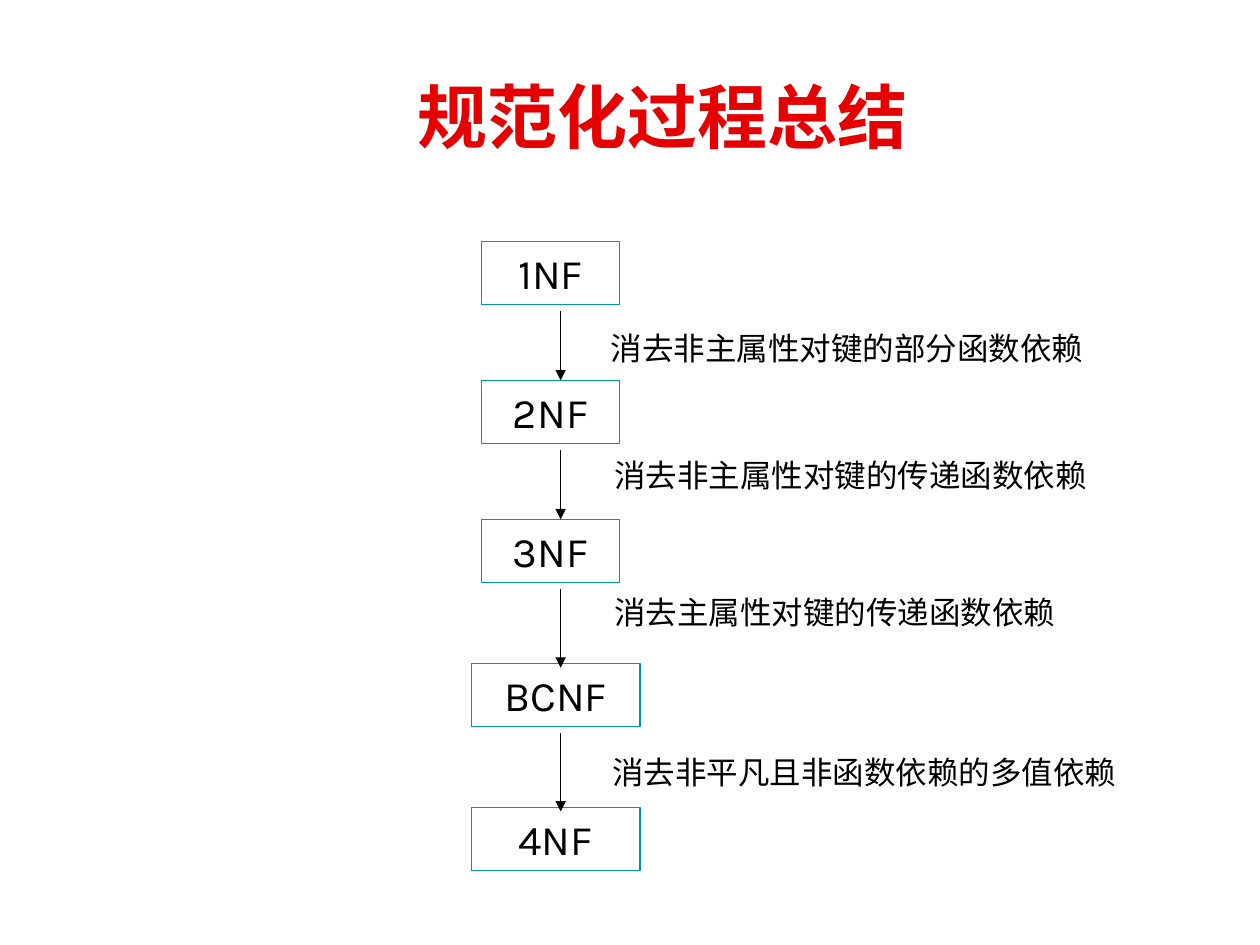
from lxml import etree
from pptx import Presentation
from pptx.dml.color import RGBColor
from pptx.enum import shapes, text
from pptx.oxml import ns
from pptx.util import Pt


def color(hex_value):
    return RGBColor.from_string(hex_value)


def write_text(shape, content, size=18, font="Karla", fill="000000", bold=False,
               align=text.PP_ALIGN.LEFT, anchor=text.MSO_ANCHOR.TOP, wrap=True):
    frame = shape.text_frame
    frame.word_wrap = wrap
    frame.vertical_anchor = anchor
    paragraph = frame.paragraphs[0]
    paragraph.alignment = align
    run = paragraph.add_run()
    run.text = content
    run.font.size = Pt(size)
    run.font.name = font
    run.font.bold = bold
    run.font.color.rgb = color(fill)


class SlideBuilder:
    border = "009999"
    arrow_color = "000000"
    title_color = "E40000"
    line_width = 0.75

    def __init__(self, slide):
        self.slide = slide

    def add_title(self, content, left, top, width, height):
        shape = self.slide.shapes.add_textbox(Pt(left), Pt(top), Pt(width), Pt(height))
        write_text(shape, content, size=40, font="Arial", fill=self.title_color, bold=True,
                   align=text.PP_ALIGN.CENTER, anchor=text.MSO_ANCHOR.MIDDLE)

    def add_box(self, content, left, top, width, height):
        shape = self.slide.shapes.add_shape(
            shapes.MSO_SHAPE.RECTANGLE, Pt(left), Pt(top), Pt(width), Pt(height))
        shape.shadow.inherit = False
        shape.fill.background()
        shape.line.color.rgb = color(self.border)
        shape.line.width = Pt(self.line_width)
        write_text(shape, content, size=24, align=text.PP_ALIGN.CENTER)

    def add_label(self, content, left, top, width, height):
        shape = self.slide.shapes.add_textbox(Pt(left), Pt(top), Pt(width), Pt(height))
        write_text(shape, content, wrap=False)

    def add_arrow(self, x, start, end):
        connector = self.slide.shapes.add_connector(
            shapes.MSO_CONNECTOR.STRAIGHT, Pt(x), Pt(start), Pt(x), Pt(end))
        connector.line.color.rgb = color(self.arrow_color)
        connector.line.width = Pt(self.line_width)
        line = connector.line._get_or_add_ln()
        etree.SubElement(line, ns.qn("a:tailEnd"), type="triangle")
        etree.SubElement(connector._element.spPr, ns.qn("a:effectLst"))


def main():
    presentation = Presentation()
    presentation.slide_width = Pt(720)
    presentation.slide_height = Pt(540)
    slide = presentation.slides.add_slide(presentation.slide_layouts[6])
    builder = SlideBuilder(slide)

    # Title
    builder.add_title("规范化过程总结", 99.4, 37.4, 558, 57.6)

    # Normal forms: name, left, top, width
    box_height = 36
    forms = [
        ("1NF", 275, 138, 79.2),
        ("2NF", 275, 217.4, 79.2),
        ("3NF", 275, 296.8, 79.2),
        ("BCNF", 269.3, 379.2, 96.5),
        ("4NF", 269.3, 461.3, 96.5),
    ]
    for name, left, top, width in forms:
        builder.add_box(name, left, top, width, box_height)

    # Steps between forms: label, left, top, width, arrow overlap into next box
    steps = [
        ("消去非主属性对键的部分函数依赖", 342, 184.3, 288, 0),
        ("消去非主属性对键的传递函数依赖", 344, 257, 288, 0),
        ("消去主属性对键的传递函数依赖", 344, 335.5, 270, 2.4),
        ("消去非平凡且非函数依赖的多值依赖", 342.7, 427, 306, 2.4),
    ]
    arrow_gap = 3.6
    for upper, lower, step in zip(forms, forms[1:], steps):
        label, left, top, width, overlap = step
        builder.add_arrow(320.4, upper[2] + box_height + arrow_gap, lower[2] + overlap)
        builder.add_label(label, left, top, width, 28.8)

    presentation.save("out.pptx")


if __name__ == "__main__":
    main()
